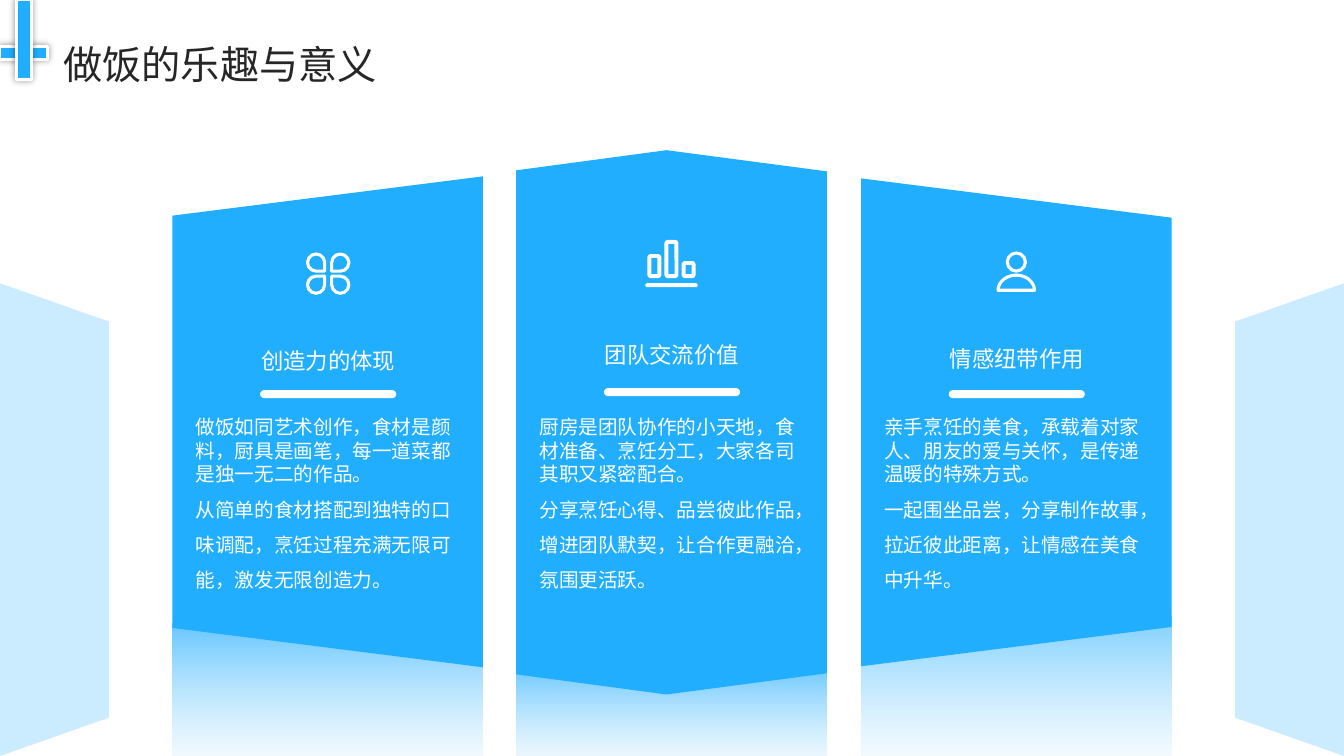
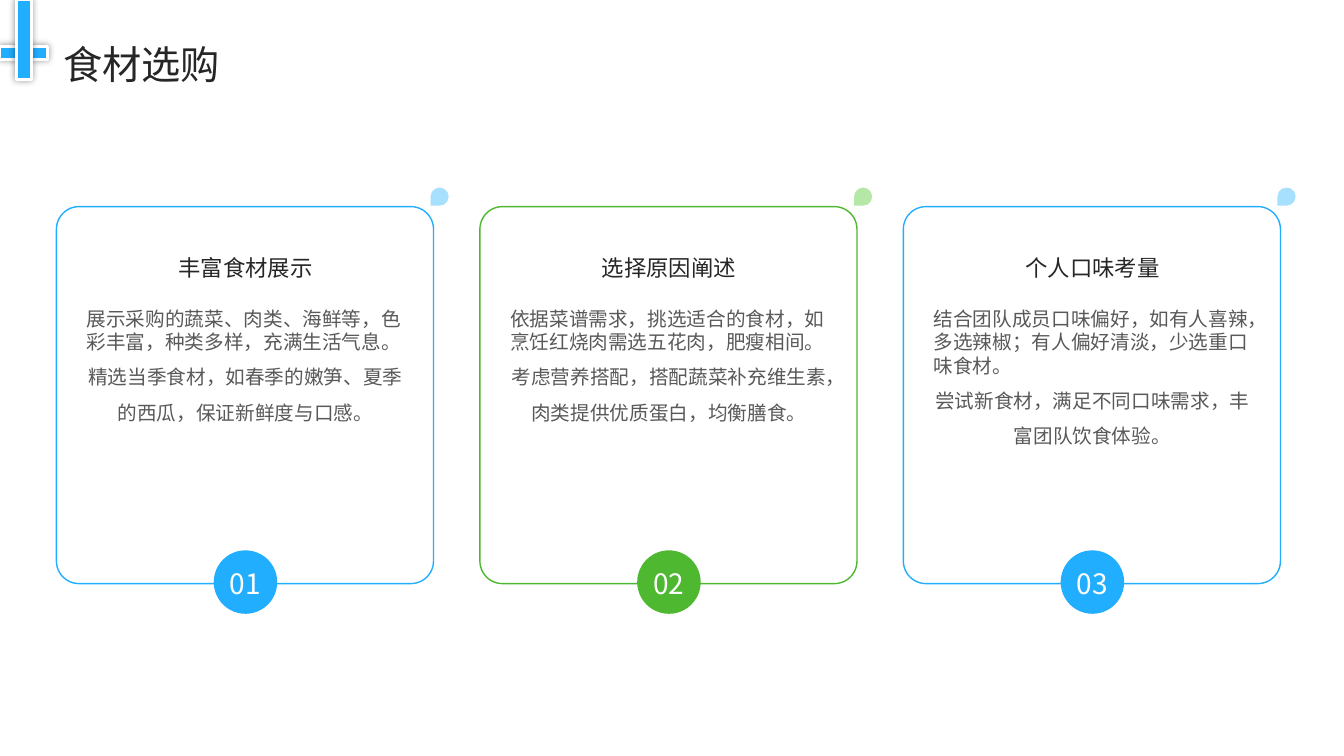
from math import cos, pi, sin

from lxml.etree import SubElement
from pptx import Presentation
from pptx.dml.color import RGBColor
from pptx.enum.shapes import MSO_SHAPE
from pptx.enum.text import MSO_ANCHOR, PP_ALIGN
from pptx.oxml.ns import qn
from pptx.util import Inches, Pt

FONT = "Noto Sans CJK SC"
SLIDE_W, SLIDE_H = 13.33, 7.5
BLUE, GREEN, WHITE = "22AEFF", "4EB830", "FFFFFF"
PALE_BLUE, PALE_GREEN = "A7DFFF", "B5E8A7"
INK, GREY = "262626", "595959"

HEADING = {"size": 16, "align": PP_ALIGN.CENTER}
ICON_STROKE = 2.2

PANELS = [
    {
        "left": 1.71,
        "outline": [(0, 2.14), (3.08, 1.75), (3.08, 6.62), (0, 6.23)],
        "reflection": [(0, 6.19), (3.08, 6.19), (3.08, 7.74), (0, 7.74)],
        "heading_top": 3.1,
        "rule_top": 3.87,
        "heading": "创造力的体现",
        "body": [
            "做饭如同艺术创作，食材是颜料，厨具是画笔，每一道菜都是独一无二的作品。",
            "从简单的食材搭配到独特的口味调配，烹饪过程充满无限可能，激发无限创造力。",
        ],
    },
    {
        "left": 5.12,
        "outline": [(0, 1.69), (1.49, 1.49), (3.08, 1.7), (3.08, 6.68), (1.49, 6.89), (0, 6.69)],
        "reflection": [(0, 6.59), (3.08, 6.59), (3.08, 7.74), (0, 7.74)],
        "heading_top": 3.04,
        "rule_top": 3.85,
        "heading": "团队交流价值",
        "body": [
            "厨房是团队协作的小天地，食材准备、烹饪分工，大家各司其职又紧密配合。",
            "分享烹饪心得、品尝彼此作品，增进团队默契，让合作更融洽，氛围更活跃。",
        ],
    },
    {
        "left": 8.54,
        "outline": [(0, 1.77), (3.08, 2.16), (3.08, 6.22), (0, 6.61)],
        "reflection": [(0, 5.92), (1.49, 5.92), (3.08, 6.11), (3.08, 7.74), (0, 7.74)],
        "heading_top": 3.08,
        "rule_top": 3.87,
        "heading": "情感纽带作用",
        "body": [
            "亲手烹饪的美食，承载着对家人、朋友的爱与关怀，是传递温暖的特殊方式。",
            "一起围坐品尝，分享制作故事，拉近彼此距离，让情感在美食中升华。",
        ],
    },
]

CARDS = [
    (BLUE, PALE_BLUE, "丰富食材展示", [
        "展示采购的蔬菜、肉类、海鲜等，色彩丰富，种类多样，充满生活气息。",
        "精选当季食材，如春季的嫩笋、夏季的西瓜，保证新鲜度与口感。",
    ]),
    (GREEN, PALE_GREEN, "选择原因阐述", [
        "依据菜谱需求，挑选适合的食材，如烹饪红烧肉需选五花肉，肥瘦相间。",
        "考虑营养搭配，搭配蔬菜补充维生素，肉类提供优质蛋白，均衡膳食。",
    ]),
    (BLUE, PALE_BLUE, "个人口味考量", [
        "结合团队成员口味偏好，如有人喜辣，多选辣椒；有人偏好清淡，少选重口味食材。",
        "尝试新食材，满足不同口味需求，丰富团队饮食体验。",
    ]),
]


def rgb(value):
    return RGBColor.from_string(value)


def apply_format(target, values):
    for name, value in values.items():
        setattr(target, name, value)


def set_alpha(fill_element, percents):
    for color, percent in zip(fill_element.iter(qn("a:srgbClr")), percents):
        SubElement(color, qn("a:alpha"), val=str(percent * 1000))


def paint(shape, fill=None, line=None, width=1):
    shape.shadow.inherit = False
    if fill:
        shape.fill.solid()
        shape.fill.fore_color.rgb = rgb(fill)
    else:
        shape.fill.background()
    if line:
        shape.line.color.rgb = rgb(line)
        shape.line.width = Pt(width)
    else:
        shape.line.fill.background()
    return shape


def add_preset(slide, kind, box, fill=None, line=None, width=1, radius=None, rotation=0):
    shape = slide.shapes.add_shape(kind, *map(Inches, box))
    if radius is not None:
        shape.adjustments[0] = radius
    shape.rotation = rotation
    return paint(shape, fill, line, width)


def add_polygon(slide, points, fill=None, line=None, width=1):
    corners = [(Inches(x), Inches(y)) for x, y in points]
    builder = slide.shapes.build_freeform(*corners[0], scale=1.0)
    builder.add_line_segments(corners[1:], close=True)
    return paint(builder.convert_to_shape(), fill, line, width)


def write_paragraph(paragraph, text, size, color, spacing, align=PP_ALIGN.LEFT):
    run = paragraph.add_run()
    run.text = text
    apply_format(paragraph, {"alignment": align, "line_spacing": spacing})
    apply_format(run.font, {"size": Pt(size), "name": FONT})
    run.font.color.rgb = rgb(color)
    SubElement(run.font._element, qn("a:ea"), typeface=FONT)


def prepare_frame(shape, anchor):
    frame = shape.text_frame
    apply_format(frame, {
        "word_wrap": True,
        "vertical_anchor": anchor,
        "margin_left": 0,
        "margin_right": 0,
        "margin_top": 0,
        "margin_bottom": 0,
    })
    return frame


def add_label(slide, box, text, size, color, spacing, align=PP_ALIGN.LEFT, anchor=MSO_ANCHOR.TOP):
    label = slide.shapes.add_textbox(*map(Inches, box))
    frame = prepare_frame(label, anchor)
    write_paragraph(frame.paragraphs[0], text, size, color, spacing, align)


def add_body(slide, box, texts, color, closing_align=PP_ALIGN.LEFT):
    body = slide.shapes.add_textbox(*map(Inches, box))
    frame = prepare_frame(body, MSO_ANCHOR.TOP)
    opening, closing = texts
    write_paragraph(frame.paragraphs[0], opening, 14, color, 1.0)
    write_paragraph(frame.add_paragraph(), closing, 14, color, 1.5, closing_align)


def add_title(slide, text):
    add_label(slide, (0.63, 0.26, 11.35, 0.59), text, 28, INK, 1.3)
    for box in ((0, 0.46, 0.47, 0.13), (0.16, 0, 0.15, 0.79)):
        bar = add_preset(slide, MSO_SHAPE.RECTANGLE, box, BLUE, WHITE, 2)
        effects = bar._element.spPr.find(qn("a:effectLst"))
        glow = SubElement(effects, qn("a:outerShdw"), blurRad=str(Pt(5)), dist="0",
                          algn="ctr", rotWithShape="0")
        SubElement(glow, qn("a:srgbClr"), val="000000")
        set_alpha(glow, [40])


def add_reflection(slide, points):
    reflection = add_polygon(slide, points, BLUE)
    reflection.fill.gradient()
    reflection.fill.gradient_angle = 270
    for stop, color in zip(reflection.fill.gradient_stops, (BLUE, WHITE)):
        stop.color.rgb = rgb(color)
    set_alpha(reflection._element.spPr.find(qn("a:gradFill")), [69, 35])


def add_wing(slide, inner, outer):
    points = [(outer, 2.81), (inner, 3.19), (inner, 7.12), (outer, SLIDE_H)]
    wing = add_polygon(slide, points, BLUE)
    set_alpha(wing._element.spPr.find(qn("a:solidFill")), [23])


def draw_clover(slide):
    for x, y, rotation in ((3.05, 2.52, 90), (3.29, 2.52, 180), (3.05, 2.74, 0), (3.29, 2.74, 270)):
        add_preset(slide, MSO_SHAPE.TEAR, (x, y, 0.17, 0.17), None, WHITE, ICON_STROKE,
                   rotation=rotation)


def draw_bar_chart_icon(slide):
    for x, top in ((6.44, 2.54), (6.61, 2.4), (6.78, 2.61)):
        add_preset(slide, MSO_SHAPE.ROUNDED_RECTANGLE, (x, top, 0.1, 2.74 - top),
                   None, WHITE, 2.8, 0.15)
    add_preset(slide, MSO_SHAPE.ROUNDED_RECTANGLE, (6.4, 2.81, 0.52, 0.04), WHITE, radius=0.5)


def draw_person(slide):
    add_preset(slide, MSO_SHAPE.OVAL, (9.99, 2.51, 0.18, 0.18), None, WHITE, ICON_STROKE)
    steps = 24
    angles = [pi * step / steps for step in range(steps + 1)]
    shoulders = [(10.08 + 0.18 * cos(a), 2.88 - 0.15 * sin(a)) for a in angles]
    add_polygon(slide, shoulders, None, WHITE, ICON_STROKE)


def add_panel(slide, panel, draw_icon):
    left = panel["left"]
    add_reflection(slide, [(left + x, y) for x, y in panel["reflection"]])
    add_polygon(slide, [(left + x, y) for x, y in panel["outline"]], BLUE)
    draw_icon(slide)
    add_preset(slide, MSO_SHAPE.ROUNDED_RECTANGLE, (left + 0.87, panel["rule_top"], 1.35, 0.08),
               WHITE, radius=0.5)
    text_left = left + 0.23
    add_label(slide, (text_left, panel["heading_top"], 2.63, 0.61), panel["heading"],
              color=WHITE, spacing=1.3, anchor=MSO_ANCHOR.BOTTOM, **HEADING)
    add_body(slide, (text_left, 4.12, 2.63, 2.11), panel["body"], WHITE)


def add_card(slide, index, accent, pale, heading, body):
    left = 0.56 + 4.2 * index
    add_preset(slide, MSO_SHAPE.ROUNDED_RECTANGLE, (left, 2.05, 3.74, 3.74), WHITE, accent,
               radius=0.06)
    add_body(slide, (left + 0.3, 3.04, 3.15, 2.21), body, GREY, PP_ALIGN.CENTER)
    add_label(slide, (left + 0.3, 2.29, 3.15, 0.67), heading,
              color=INK, spacing=1.2, anchor=MSO_ANCHOR.MIDDLE, **HEADING)
    badge = add_preset(slide, MSO_SHAPE.OVAL, (left + 1.56, 5.46, 0.63, 0.63), accent)
    number = prepare_frame(badge, MSO_ANCHOR.MIDDLE).paragraphs[0]
    write_paragraph(number, f"{index + 1:02d}", 20, WHITE, 1.1, PP_ALIGN.CENTER)
    add_preset(slide, MSO_SHAPE.TEAR, (left + 3.71, 1.86, 0.18, 0.18), pale, rotation=180)


def add_slide(presentation):
    return presentation.slides.add_slide(presentation.slide_layouts[6])


def build_meaning_slide(presentation):
    slide = add_slide(presentation)
    icons = (draw_clover, draw_bar_chart_icon, draw_person)
    for panel, draw_icon in zip(PANELS, icons):
        add_panel(slide, panel, draw_icon)
    add_wing(slide, 1.08, 0)
    add_wing(slide, SLIDE_W - 1.08, SLIDE_W)
    add_title(slide, "做饭的乐趣与意义")


def build_shopping_slide(presentation):
    slide = add_slide(presentation)
    for index, card in enumerate(CARDS):
        add_card(slide, index, *card)
    add_title(slide, "食材选购")


def main():
    presentation = Presentation()
    apply_format(presentation, {"slide_width": Inches(SLIDE_W), "slide_height": Inches(SLIDE_H)})
    build_meaning_slide(presentation)
    build_shopping_slide(presentation)
    presentation.save("out.pptx")


if __name__ == "__main__":
    main()
